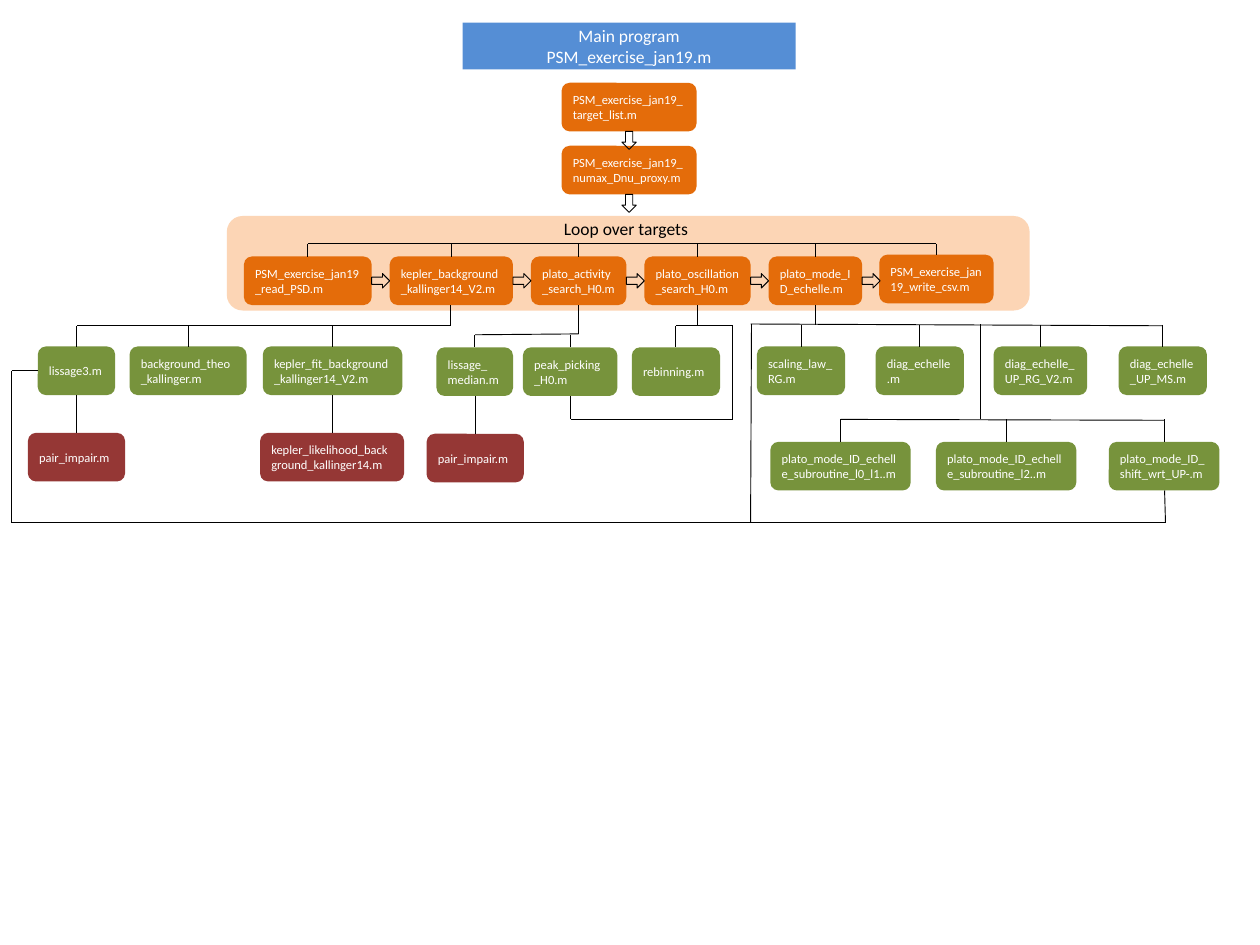
"""Build the call chart of a main program, its loop over targets and its subroutines."""
import itertools

import pptx
import pptx.util
import pptx.dml.color
import pptx.enum.shapes
import pptx.enum.text
import pptx.oxml

Inches = pptx.util.Inches
Pt = pptx.util.Pt
SHAPES = pptx.enum.shapes.MSO_SHAPE
ALIGN = pptx.enum.text.PP_ALIGN

ORANGE, GREEN, RED = "E46C0A", "77933C", "953735"
BOX_HEIGHT = 0.54
ARROW_LENGTH, ARROW_WIDTH = 0.2, 0.16

MAIN = ["Main program", "PSM_exercise_jan19.m"]
SETUP_STEPS = [
    (0.92, "PSM_exercise_jan19_target_list.m"),
    (1.62, "PSM_exercise_jan19_numax_Dnu_proxy.m"),
]
LOOP_STEPS = [
    (2.71, 2.85, 1.42, "PSM_exercise_jan19_read_PSD.m"),
    (4.33, 2.85, 1.37, "kepler_background_kallinger14_V2.m"),
    (5.9, 2.85, 1.06, "plato_activity_search_H0.m"),
    (7.16, 2.85, 1.18, "plato_oscillation_search_H0.m"),
    (8.54, 2.85, 1.04, "plato_mode_ID_echelle.m"),
    (9.77, 2.83, 1.27, "PSM_exercise_jan19_write_csv.m"),
]
LOOP_BUS = 2.71

# colour, box top, start of the stems above, then left, width and text of each box
SUBROUTINES = [
    (GREEN, 3.85, 3.62, [
        (0.42, 0.86, "lissage3.m"),
        (1.44, 1.3, "background_theo_kallinger.m"),
        (2.92, 1.55, "kepler_fit_background_kallinger14_V2.m"),
    ]),
    (GREEN, 3.86, 3.72, [
        (4.85, 0.85, "lissage_ median.m"),
        (5.81, 1.05, "peak_picking_H0.m"),
    ]),
    (GREEN, 3.86, 3.62, [(7.02, 0.98, "rebinning.m")]),
    (GREEN, 3.85, 3.61, [
        (8.41, 0.98, "scaling_law_RG.m"),
        (9.73, 0.98, "diag_echelle.m"),
        (11.04, 1.04, "diag_echelle_UP_RG_V2.m"),
        (12.43, 0.98, "diag_echelle_UP_MS.m"),
    ]),
    (GREEN, 4.91, 4.66, [
        (8.56, 1.56, "plato_mode_ID_echelle_subroutine_l0_l1..m"),
        (10.4, 1.56, "plato_mode_ID_echelle_subroutine_l2..m"),
        (12.32, 1.23, "plato_mode_ID_shift_wrt_UP-.m"),
    ]),
    (RED, 4.81, 4.39, [
        (0.31, 1.08, "pair_impair.m"),
        (2.89, 1.6, "kepler_likelihood_background_kallinger14.m"),
    ]),
    (RED, 4.82, 4.4, [(4.74, 1.08, "pair_impair.m")]),
]
CALL_ROUTES = [
    [(5.01, 3.39), (5.01, 3.62), (0.85, 3.62)],
    [(6.43, 3.39), (6.43, 3.71), (5.28, 3.72)],
    [(7.75, 3.39), (7.75, 3.62)],
    [(7.51, 3.62), (8.14, 3.62), (8.14, 4.66), (6.34, 4.66), (6.34, 4.4)],
    [(9.06, 3.39), (9.06, 3.61)],
    [(8.34, 3.6), (12.92, 3.62)],
    [(10.89, 3.6), (10.89, 4.66)],
    [(9.34, 4.66), (12.94, 4.67)],
    [(8.35, 3.6), (8.34, 5.81)],
    [(12.94, 5.45), (12.95, 5.81), (0.13, 5.81), (0.13, 4.12), (0.42, 4.12)],
]

deck = pptx.Presentation()
deck.slide_width, deck.slide_height = Inches(14), Inches(10.5)
slide = deck.slides.add_slide(deck.slide_layouts[6])


def rgb(colour):
    return pptx.dml.color.RGBColor.from_string(colour)


def write(frame, lines, size, colour, align):
    frame.word_wrap = True
    frame.text = "\n".join(lines)
    for paragraph in frame.paragraphs:
        paragraph.alignment = align
        paragraph.font.name = "Calibri"
        paragraph.font.size = Pt(size)
        paragraph.font.color.rgb = rgb(colour)


def add_block(kind, left, top, width, height, colour):
    block = slide.shapes.add_shape(
        kind, Inches(left), Inches(top), Inches(width), Inches(height))
    block.shadow.inherit = False
    block.fill.solid()
    block.fill.fore_color.rgb = rgb(colour)
    block.line.fill.background()
    return block


def add_box(left, top, width, text, colour):
    box = add_block(SHAPES.ROUNDED_RECTANGLE, left, top, width, BOX_HEIGHT, colour)
    box.text_frame.vertical_anchor = pptx.enum.text.MSO_ANCHOR.MIDDLE
    write(box.text_frame, [text], 10, "FFFFFF", ALIGN.LEFT)


def add_arrow(left, top, rotation=0):
    arrow = add_block(SHAPES.RIGHT_ARROW, left, top, ARROW_LENGTH, ARROW_WIDTH, "FFFFFF")
    arrow.fill.background()
    arrow.line.color.rgb = rgb("000000")
    arrow.line.width = Pt(0.75)
    arrow.rotation = rotation


def add_route(points):
    for start, end in itertools.pairwise(points):
        line = slide.shapes.add_connector(
            pptx.enum.shapes.MSO_CONNECTOR.STRAIGHT, *map(Inches, start + end))
        line.line.color.rgb = rgb("000000")
        line.line.width = Pt(0.75)
        line._element.spPr.append(pptx.oxml.parse_xml(
            '<a:effectLst xmlns:a="http://schemas.openxmlformats.org/drawingml/2006/main"/>'))


add_block(SHAPES.ROUNDED_RECTANGLE, 2.52, 2.4, 8.92, 1.05, "FCD5B5")
main = add_block(SHAPES.RECTANGLE, 5.14, 0.25, 3.7, 0.52, "558ED5")
main.text_frame.vertical_anchor = pptx.enum.text.MSO_ANCHOR.MIDDLE
write(main.text_frame, MAIN, 14, "FFFFFF", ALIGN.CENTER)

for top, text in SETUP_STEPS:
    add_box(6.24, top, 1.5, text, ORANGE)
for top, text in SETUP_STEPS:
    add_arrow(6.89, top + BOX_HEIGHT + 0.02, 90)

loop_title = slide.shapes.add_textbox(Inches(5.93), Inches(2.37), Inches(2.05), Inches(0.34))
write(loop_title.text_frame, ["Loop over targets"], 14, "000000", ALIGN.CENTER)

loop_centres = [left + width / 2 for left, top, width, text in LOOP_STEPS]
add_route([(loop_centres[0], LOOP_BUS), (loop_centres[-1], LOOP_BUS)])
for centre, (left, top, width, text) in zip(loop_centres, LOOP_STEPS):
    add_box(left, top, width, text, ORANGE)
    add_route([(centre, LOOP_BUS), (centre, top)])
for left, top, width, text in LOOP_STEPS[:-1]:
    add_arrow(left + width, 3.04)

for colour, top, stem_top, boxes in SUBROUTINES:
    for left, width, text in boxes:
        centre = left + width / 2
        add_box(left, top, width, text, colour)
        add_route([(centre, stem_top), (centre, top)])

for route in CALL_ROUTES:
    add_route(route)

deck.save("out.pptx")
